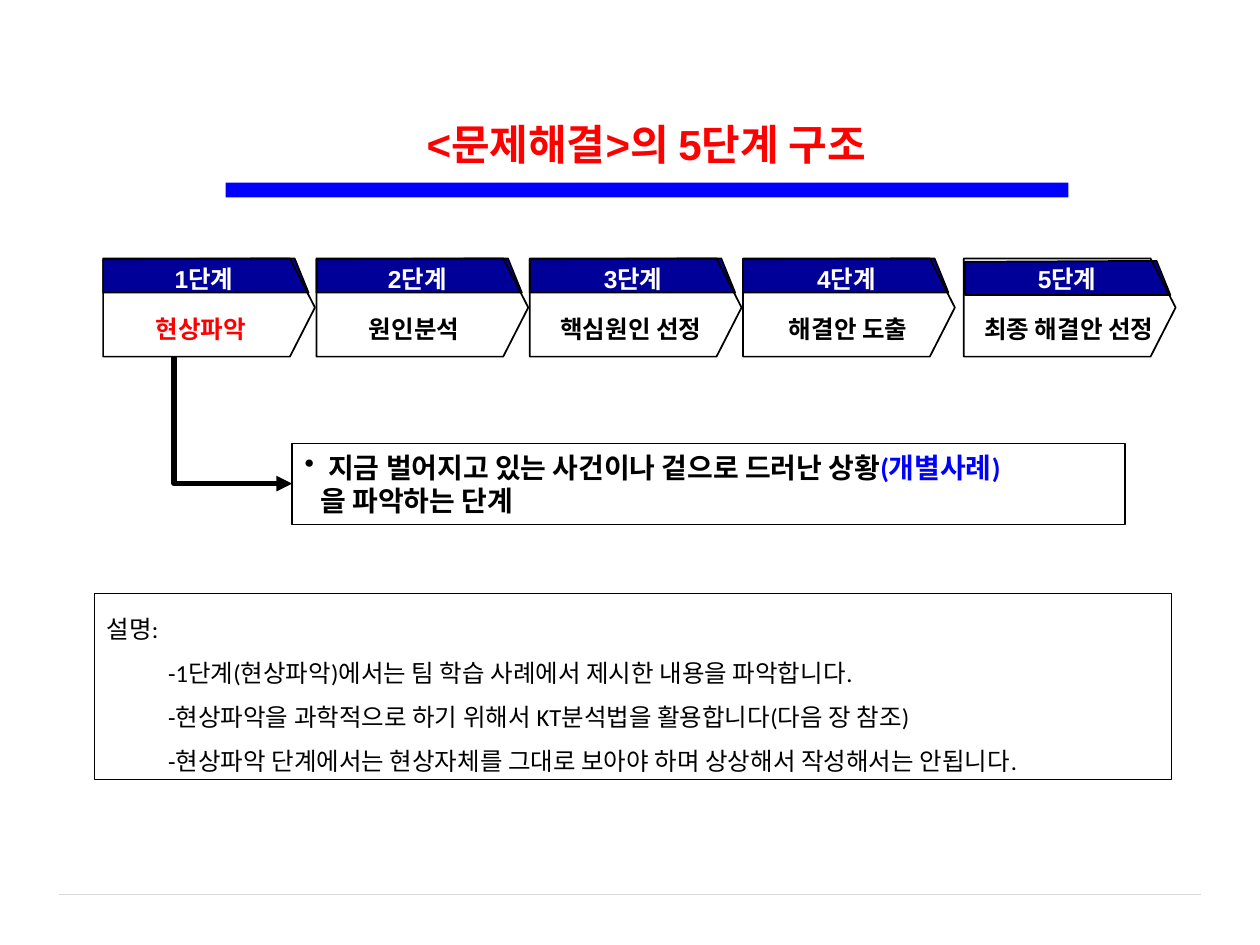
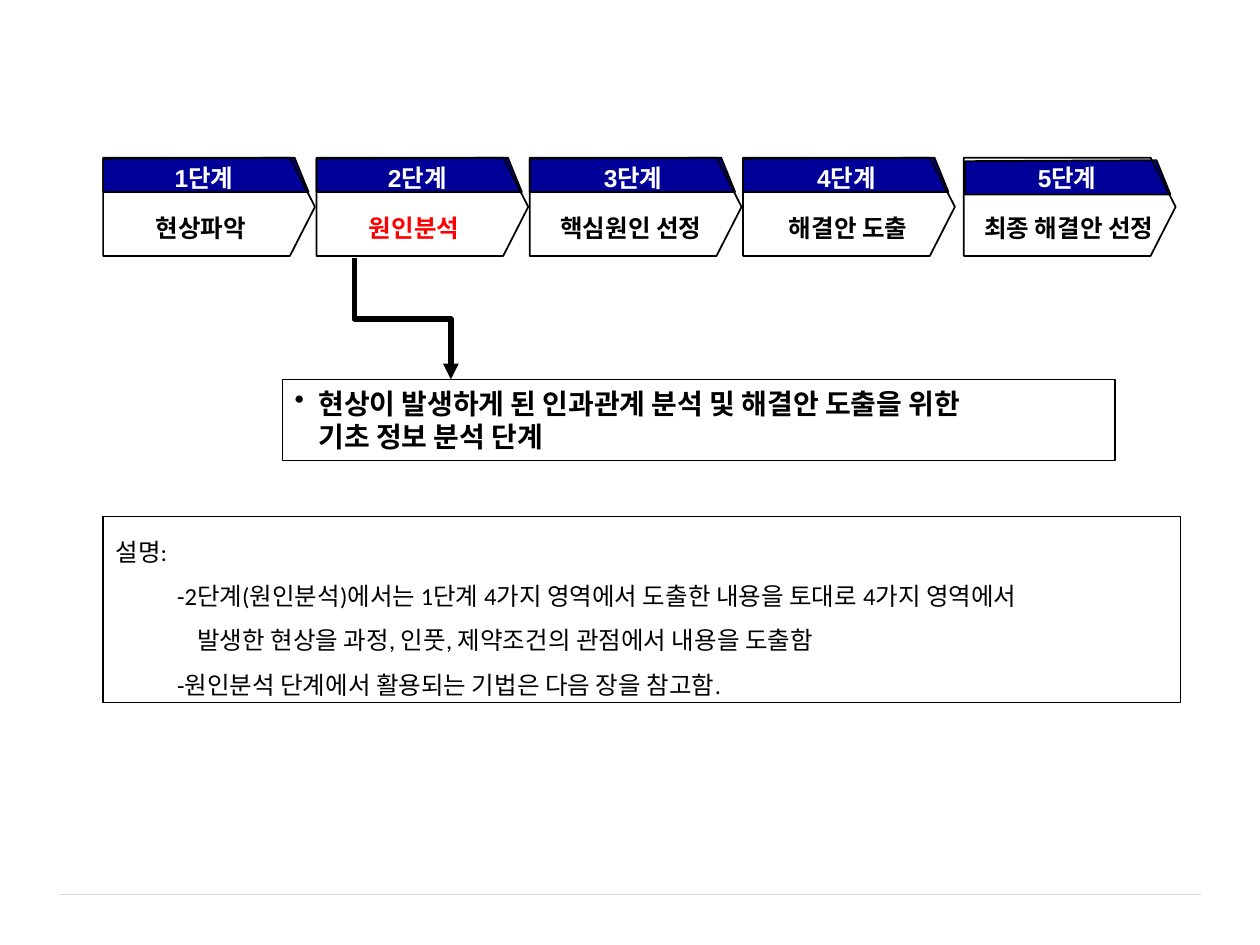
"""Build the two slides on the five steps of problem solving."""
from lxml.etree import SubElement
from pptx import Presentation
from pptx.dml.color import RGBColor
from pptx.enum.shapes import MSO_CONNECTOR as Link, MSO_SHAPE as Shape
from pptx.enum.text import MSO_ANCHOR as Anchor, MSO_AUTO_SIZE as AutoSize, PP_ALIGN as Align
from pptx.oxml.ns import qn
from pptx.util import Cm, Pt

BLACK, WHITE, RED, BLUE, NAVY, GREY = "000000", "FFFFFF", "FF0000", "0000FF", "000099", "D9D9D9"
STEP_LEFT, STEP_PITCH = 2.08, 4.3
STEPS = [
    ("현상파악", 0, -0.05, -0.2),
    ("원인분석", 0, -0.05, -0.2),
    ("핵심원인 선정", 0, 0, -0.13),
    ("해결안 도출", 0, 0, -0.05),
    ("최종 해결안 선정", 0.15, 0, -0.05),
]


def rgb(code):
    return RGBColor.from_string(code)


def write(frame, text, size=14, font="Calibri", color=BLACK, bold=False, align=Align.LEFT,
          margin=0, bullet=None, spacing=None, accent=None):
    para = frame.paragraphs[0]
    if para.runs:
        para = frame.add_paragraph()
    para.alignment = align
    if spacing:
        para.line_spacing = spacing
    properties = para._p.get_or_add_pPr()
    properties.set("marL", str(Cm(margin)))
    properties.set("indent", str(-Cm(margin) if bullet else 0))
    if bullet:
        SubElement(properties, qn("a:buChar"), char=bullet)
    for words, ink in ((text, color), (accent, BLUE)):
        if words:
            span = para.add_run()
            span.text = words
            span.font.name, span.font.size, span.font.bold = font, Pt(size), bold
            span.font.color.rgb = rgb(ink)


class SlideWriter:
    def __init__(self, deck):
        self.deck = deck
        self.page = None

    def new_page(self, layout):
        self.page = self.deck.slides.add_slide(self.deck.slide_layouts.get_by_name(layout))
        self.line(Link.STRAIGHT, 1.19, 18.03, 24.21, 18.03, GREY, 0.5)

    def title(self, text):
        box = self.page.shapes.title
        box.left, box.top, box.width, box.height = Cm(3.73), Cm(2.26), Cm(18.59), Cm(1.27)
        box.text_frame.auto_size = AutoSize.NONE
        write(box.text_frame, text, size=24, font="Arial", color=RED, bold=True, align=Align.CENTER)
        self.shape(Shape.RECTANGLE, 4.55, 3.68, 16.99, 0.3, fill=BLUE)

    def paint(self, shape, fill=None, line=None, weight=1.0):
        shape.shadow.inherit = False
        if fill:
            shape.fill.solid()
            shape.fill.fore_color.rgb = rgb(fill)
        else:
            shape.fill.background()
        if line:
            shape.line.color.rgb = rgb(line)
            shape.line.width = Pt(weight)
        else:
            shape.line.fill.background()
        return shape

    def shape(self, kind, left, top, width, height, **look):
        shape = self.page.shapes.add_shape(kind, Cm(left), Cm(top), Cm(width), Cm(height))
        return self.paint(shape, **look)

    def line(self, kind, x1, y1, x2, y2, color, weight):
        line = self.page.shapes.add_connector(kind, Cm(x1), Cm(y1), Cm(x2), Cm(y2))
        line.line.color.rgb = rgb(color)
        line.line.width = Pt(weight)
        SubElement(line._element.spPr, qn("a:effectLst"))
        return line

    def down_arrow(self, x1, y1, x2, y2, preset):
        run, drop = x2 - x1, y2 - y1
        left, top = (x1 + x2 - drop) / 2, (y1 + y2 - run) / 2
        arrow = self.line(Link.ELBOW, left, top, left + drop, top + run, BLACK, 3)
        properties = arrow._element.spPr
        frame = properties.find(qn("a:xfrm"))
        frame.set("rot", "16200000")
        frame.set("flipH", "1")
        properties.find(qn("a:prstGeom")).set("prst", preset)
        SubElement(properties.find(qn("a:ln")), qn("a:tailEnd"), type="triangle")

    def label(self, left, top, width, text, color):
        box = self.page.shapes.add_textbox(Cm(left), Cm(top), Cm(width), Cm(0.84))
        box.text_frame.word_wrap = True
        box.text_frame.vertical_anchor = Anchor.MIDDLE
        write(box.text_frame, text, font="Arial", color=color, bold=True, align=Align.CENTER)

    def band(self, left, top):
        builder = self.page.shapes.build_freeform(Cm(left), Cm(top + 0.02), scale=1.0)
        corners = ((0, 0.69), (4.14, 0.69), (3.86, 0))
        builder.add_line_segments([(Cm(left + x), Cm(top + y)) for x, y in corners], close=True)
        self.paint(builder.convert_to_shape(), fill=NAVY, line=BLACK)

    def steps(self, top, current):
        for number, (name, gap, number_shift, name_shift) in enumerate(STEPS, 1):
            left = STEP_LEFT + STEP_PITCH * (number - 1) + gap
            nudge = 0.05 if gap else 0
            self.band(left + nudge / 2, top + nudge)
            plate = self.shape(Shape.PENTAGON, left, top, 4.27, 1.98, line=BLACK)
            plate.adjustments[0] = 0.255
            self.label(left + number_shift, top - 0.02, 4.17, f"{number}단계", WHITE)
            self.label(left + name_shift, top + 0.99, 4.34, name, RED if number == current else BLACK)

    def frame(self, left, top, width, height, anchor):
        box = self.shape(Shape.RECTANGLE, left, top, width, height, line=BLACK, weight=0.75)
        box.text_frame.word_wrap = True
        box.text_frame.vertical_anchor = anchor
        return box.text_frame

    def definition(self, left, top, first, second, margin, accent=None):
        frame = self.frame(left, top, 16.79, 1.63, Anchor.MIDDLE)
        write(frame, first, size=16, bold=True, margin=0.48, bullet="•", accent=accent)
        write(frame, second, size=16, bold=True, margin=margin)

    def explanation(self, left, top, lines):
        frame = self.frame(left, top, 21.72, 3.76, Anchor.TOP)
        for text, margin in [("설명:", 0)] + lines:
            write(frame, text, margin=margin, spacing=1.5)


def main():
    deck = Presentation()
    deck.slide_width, deck.slide_height = Cm(25.4), Cm(19.05)
    writer = SlideWriter(deck)

    writer.new_page("Title Only")
    writer.title("<문제해결>의 5단계 구조")
    writer.steps(5.21, current=1)
    writer.definition(5.89, 8.94, "지금 벌어지고 있는 사건이나 겉으로 드러난 상황",
                      "을 파악하는 단계", 0.32, accent="(개별사례)")
    writer.down_arrow(3.51, 7.19, 5.89, 9.75, "bentConnector2")
    writer.explanation(1.9, 11.96, [
        ("-1단계(현상파악)에서는 팀 학습 사례에서 제시한 내용을 파악합니다.", 1.24),
        ("-현상파악을 과학적으로 하기 위해서 KT분석법을 활용합니다(다음 장 참조)", 1.24),
        ("-현상파악 단계에서는 현상자체를 그대로 보아야 하며 상상해서 작성해서는 안됩니다.", 1.24),
    ])

    writer.new_page("Blank")
    writer.steps(3.18, current=2)
    writer.definition(5.69, 7.65, "현상이 발생하게 된 인과관계 분석 및 해결안 도출을 위한",
                      "기초 정보 분석 단계", 0.48)
    writer.down_arrow(7.14, 5.21, 9.09, 7.65, "bentConnector3")
    writer.explanation(2.08, 10.41, [
        ("-2단계(원인분석)에서는 1단계 4가지 영역에서 도출한 내용을 토대로 4가지 영역에서", 1.24),
        ("발생한 현상을 과정, 인풋, 제약조건의 관점에서 내용을 도출함", 1.65),
        ("-원인분석 단계에서 활용되는 기법은 다음 장을 참고함.", 1.24),
    ])

    deck.save("out.pptx")


if __name__ == "__main__":
    main()
